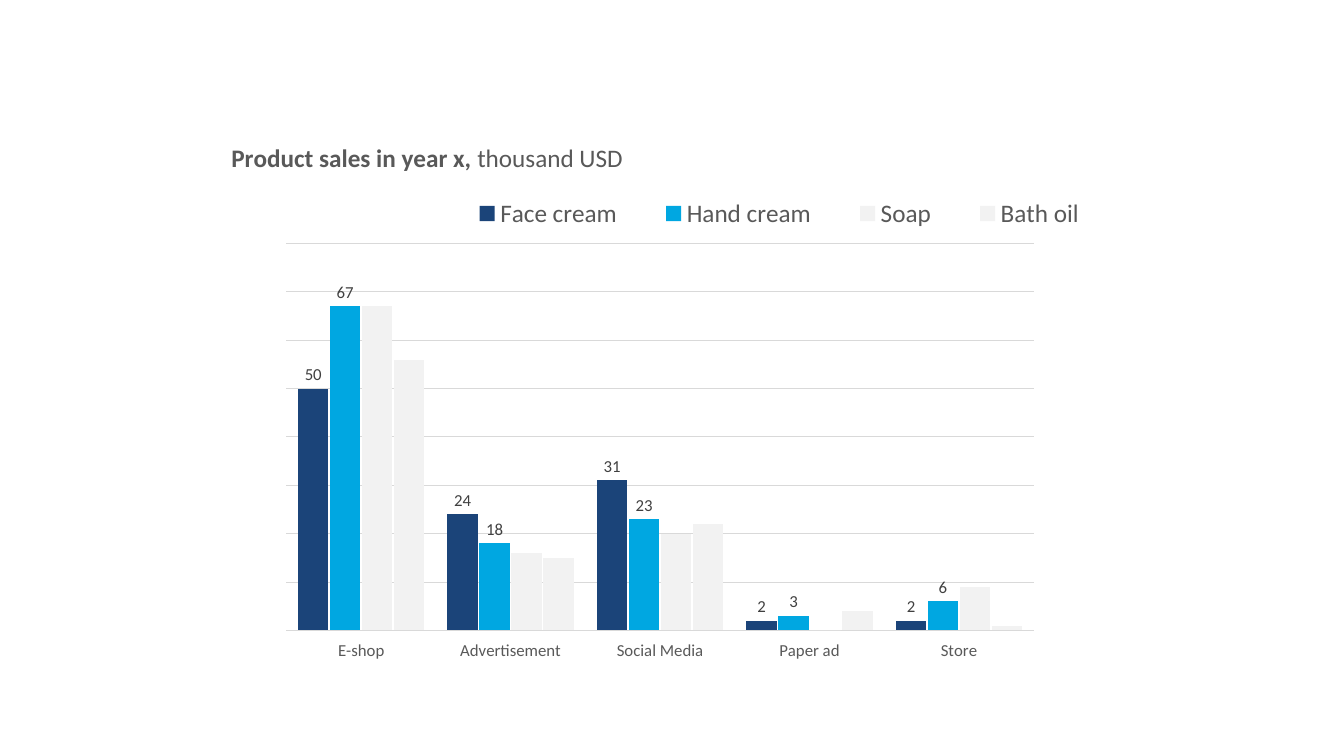
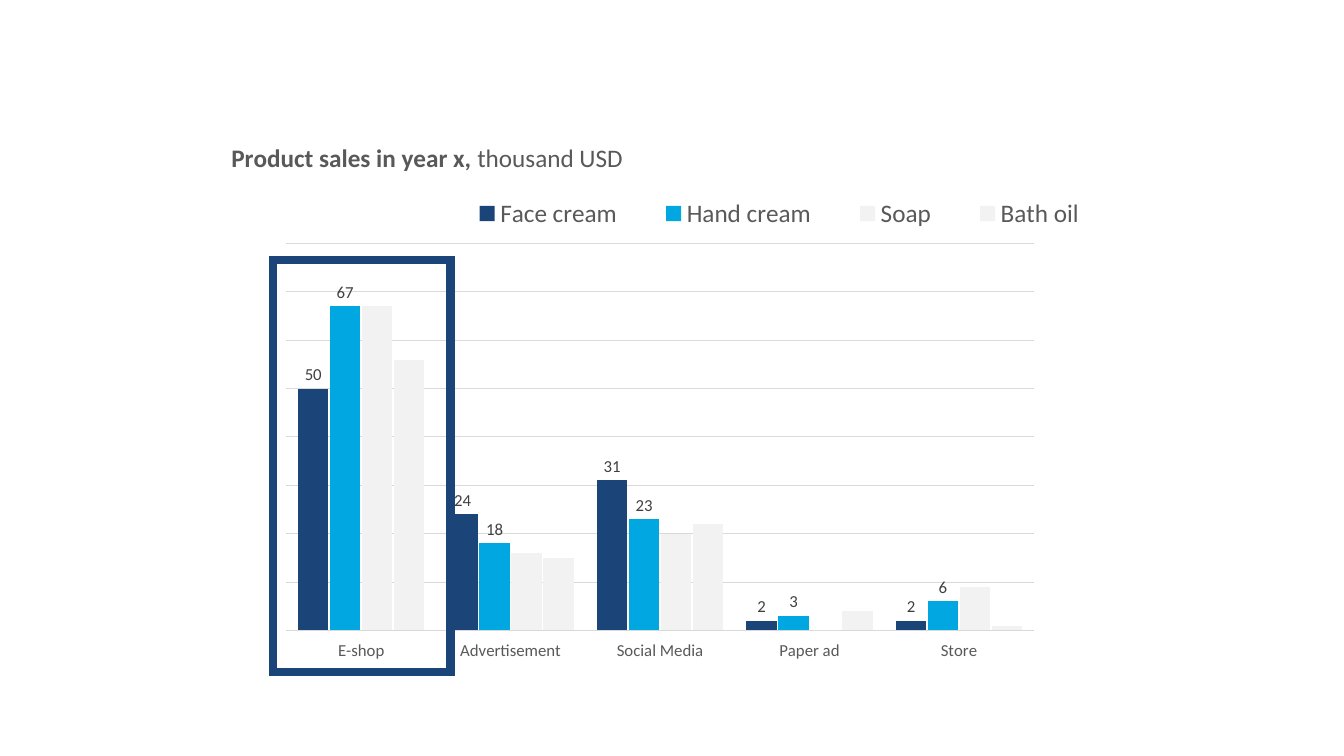
from lxml.etree import SubElement
from pptx import Presentation
from pptx.chart.data import CategoryChartData
from pptx.dml.color import RGBColor
from pptx.enum.chart import XL_CHART_TYPE as ChartType
from pptx.enum.chart import XL_LABEL_POSITION as LabelPosition
from pptx.enum.chart import XL_LEGEND_POSITION as LegendPosition
from pptx.enum.chart import XL_TICK_LABEL_POSITION as TickLabels
from pptx.enum.chart import XL_TICK_MARK as TickMark
from pptx.enum.shapes import MSO_SHAPE as Shape
from pptx.oxml import parse_xml
from pptx.oxml.ns import nsdecls, qn
from pptx.util import Cm, Pt

NAVY = RGBColor(0x1B, 0x44, 0x79)
SKY = RGBColor(0x00, 0xA7, 0xE1)
PALE = RGBColor(0xF2, 0xF2, 0xF2)
GREY = RGBColor(0x59, 0x59, 0x59)
DARK = RGBColor(0x40, 0x40, 0x40)
RULE = RGBColor(0xD9, 0xD9, 0xD9)
BLACK = RGBColor(0, 0, 0)
FONT = "Calibri"

HEADING = [("Product sales in year x, ", True), ("thousand USD", False)]
CHANNELS = ["E-shop", "Advertisement", "Social Media", "Paper ad", "Store"]
PRODUCTS = [
    ("Face cream", [50, 24, 31, 2, 2], NAVY, True),
    ("Hand cream", [67, 18, 23, 3, 6], SKY, True),
    ("Soap", [67, 16, 20, 0, 9], PALE, False),
    ("Bath oil", [56, 15, 22, 4, 1], PALE, False),
]
SALES_BOX = Cm(5.64), Cm(3.35), Cm(22.58), Cm(13.54)
ESHOP_FRAME = Cm(6.88), Cm(6.55), Cm(4.47), Cm(10.39)
SLIDES = [None, ESHOP_FRAME]


def style_font(font, size, color, bold=False):
    font.name, font.size, font.bold = FONT, Pt(size), bold
    font.color.rgb = color


def add_text(paragraph, text, size=18, color=GREY, bold=False):
    run = paragraph.add_run()
    run.text = text
    style_font(run.font, size, color, bold)


def place(part, inner=False, **fractions):
    for old in part.findall(qn("c:layout")):
        part.remove(old)
    layout = parse_xml(f"<c:layout {nsdecls('c')}/>")
    manual = SubElement(layout, qn("c:manualLayout"))
    settings = [("layoutTarget", "inner")] if inner else []
    settings += [("xMode", "edge"), ("yMode", "edge")]
    for tag, value in settings + list(fractions.items()):
        SubElement(manual, qn(f"c:{tag}")).set("val", str(value))
    overlay = part.find(qn("c:overlay"))
    if overlay is None:
        part.insert(0, layout)
    else:
        overlay.addprevious(layout)


def style_line(line, color, width):
    line.color.rgb = color
    line.width = Pt(width)


def add_heading(chart):
    chart.has_title = True
    title = chart.chart_title
    title.include_in_layout = False
    paragraph = title.text_frame.paragraphs[0]
    for text, bold in HEADING:
        add_text(paragraph, text, bold=bold)
    place(chart.element.chart.find(qn("c:title")), x=0.005, y=0.01)


def add_legend(chart):
    chart.has_legend = True
    legend = chart.legend
    legend.position = LegendPosition.RIGHT
    legend.include_in_layout = False
    style_font(legend.font, 18, GREY)
    place(chart.element.chart.find(qn("c:legend")),
          x=0.24, y=0.11, w=0.76, h=0.08)


def style_axes(chart):
    channels, sales = chart.category_axis, chart.value_axis
    channels.major_tick_mark = channels.minor_tick_mark = TickMark.NONE
    channels.tick_label_position = TickLabels.LOW
    style_font(channels.tick_labels.font, 12, GREY)
    style_line(channels.format.line, RULE, 0.75)
    sales.minimum_scale, sales.maximum_scale, sales.major_unit = 0, 80, 10
    sales.has_major_gridlines = True
    style_line(sales.major_gridlines.format.line, RULE, 0.75)
    sales.visible = False


def style_columns(chart):
    columns = chart.plots[0]
    columns.gap_width, columns.overlap = 76, -5
    columns.vary_by_categories = False
    for product, (_, _, color, labelled) in zip(columns.series, PRODUCTS):
        product.format.fill.solid()
        product.format.fill.fore_color.rgb = color
        if labelled:
            labels = product.data_labels
            labels.show_value = True
            labels.position = LabelPosition.OUTSIDE_END
            style_font(labels.font, 12, DARK)
    place(chart.element.chart.plotArea, inner=True,
          x=0.07, y=0.206, w=0.834, h=0.72)


def add_sales_chart(slide):
    data = CategoryChartData()
    data.categories = CHANNELS
    for name, values, *_ in PRODUCTS:
        data.add_series(name, values)
    chart = slide.shapes.add_chart(
        ChartType.COLUMN_CLUSTERED, *SALES_BOX, data).chart
    style_font(chart.font, 10, BLACK)
    add_heading(chart)
    add_legend(chart)
    style_axes(chart)
    style_columns(chart)


def add_frame(slide, box):
    frame = slide.shapes.add_shape(Shape.RECTANGLE, *box)
    frame.shadow.inherit = False
    frame.fill.background()
    style_line(frame.line, NAVY, 6)
    outline = frame.element.spPr.find(qn("a:ln"))
    SubElement(outline, qn("a:miter")).set("lim", "800000")


def main():
    deck = Presentation()
    deck.slide_width, deck.slide_height = Cm(33.87), Cm(19.05)
    blank = deck.slide_layouts[6]
    for highlight in SLIDES:
        slide = deck.slides.add_slide(blank)
        add_sales_chart(slide)
        if highlight:
            add_frame(slide, highlight)
    deck.save("out.pptx")


if __name__ == "__main__":
    main()
